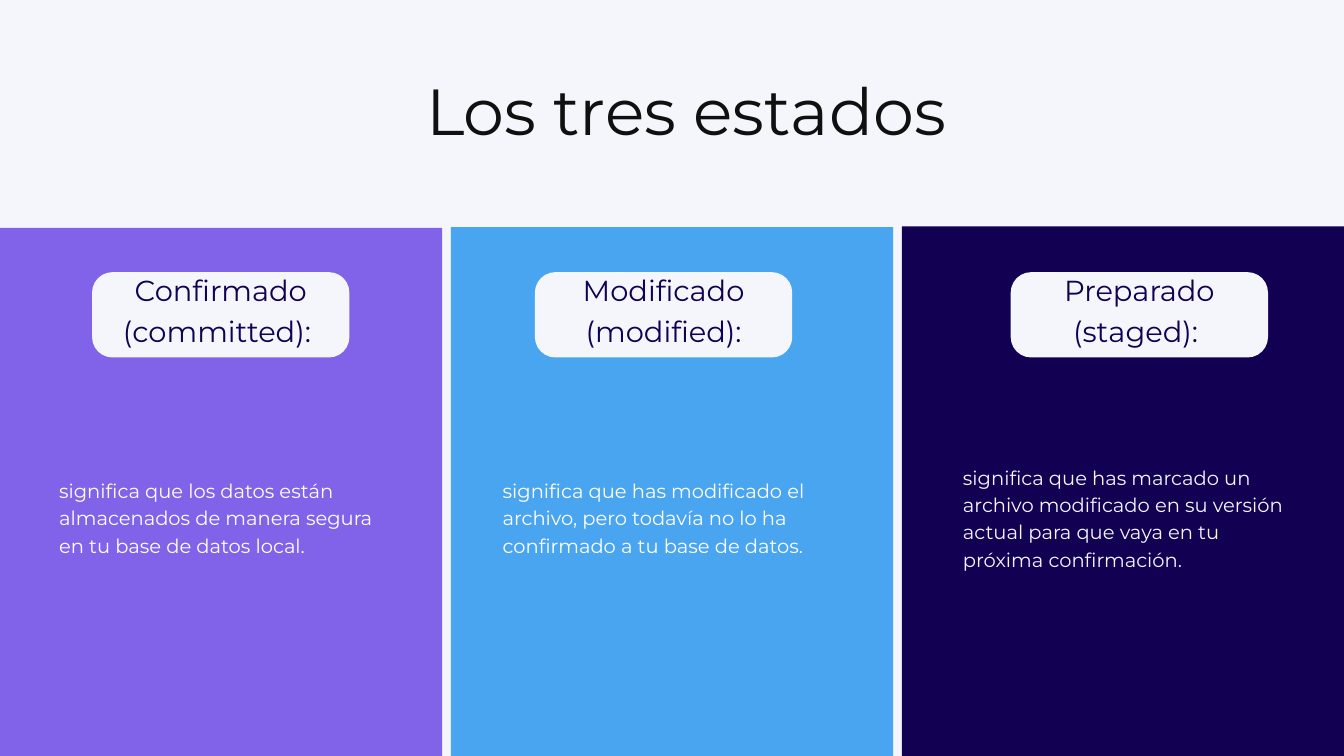
from dataclasses import dataclass
from pptx import Presentation
from pptx.dml.color import RGBColor
from pptx.enum.shapes import MSO_SHAPE
from pptx.enum.text import MSO_ANCHOR, PP_ALIGN
from pptx.util import Inches, Pt

RECT = MSO_SHAPE.RECTANGLE
ROUND = MSO_SHAPE.ROUNDED_RECTANGLE
TOP, MIDDLE = MSO_ANCHOR.TOP, MSO_ANCHOR.MIDDLE
LEFT, CENTER = PP_ALIGN.LEFT, PP_ALIGN.CENTER

WIDE, HIGH = 20, 11.25
GAP = 0.13
COL = (WIDE - 2 * GAP) / 3
FACE = "Montserrat"
COLORS = {
    "paper": "F4F6FC",
    "ink": "101010",
    "white": "FFFFFF",
    "violet": "8063E8",
    "blue": "49A5EF",
    "navy": "120052",
}


@dataclass
class Box:
    left: float
    top: float
    width: float
    height: float

    def place(self) -> list:
        return [Inches(v) for v in (self.left, self.top, self.width, self.height)]


@dataclass
class Style:
    size: float
    lead: float
    align: int
    anchor: int


@dataclass
class State:
    color: str
    top: float
    label: str
    inset: float
    note: str
    indent: float
    start: float
    height: float
    tint: str


TITLE = Style(69.7, 83.6, CENTER, TOP)
LABEL = Style(31, 43.4, CENTER, MIDDLE)
NOTE = Style(20.9, 29.3, LEFT, TOP)

STATES = [
    State("violet", 3.39, "Confirmado (committed): ", 1.37,
          "significa que los datos están almacenados de manera segura "
          "en tu base de datos local.", 0.88, 7.07, 1.2, "white"),
    State("blue", 3.38, "Modificado (modified):", 1.25,
          "significa que has modificado el archivo, pero todavía no lo ha "
          "confirmado a tu base de datos.", 0.77, 7.07, 1.2, "white"),
    State("navy", 3.37, "Preparado (staged): ", 1.62,
          "significa que has marcado un archivo modificado en su versión "
          "actual para que vaya en tu próxima confirmación.",
          0.91, 6.87, 1.61, "paper"),
]


def tone(name: str) -> RGBColor:
    return RGBColor.from_string(COLORS[name])


def draw_shape(slide, kind: int, box: Box, color: str):
    shape = slide.shapes.add_shape(kind, *box.place())
    shape.shadow.inherit = False
    shape.fill.solid()
    shape.fill.fore_color.rgb = tone(color)
    shape.line.fill.background()
    return shape


def draw_text(slide, box: Box, text: str, style: Style, color: str) -> None:
    frame = slide.shapes.add_textbox(*box.place()).text_frame
    edges = {f"margin_{side}": 0 for side in ("left", "top", "right", "bottom")}
    for name, value in {**edges, "word_wrap": True,
                        "vertical_anchor": style.anchor}.items():
        setattr(frame, name, value)
    para = frame.paragraphs[0]
    para.alignment = style.align
    para.line_spacing = Pt(style.lead)
    run = para.add_run()
    run.text = text
    for name, value in {"name": FACE, "size": Pt(style.size)}.items():
        setattr(run.font, name, value)
    run.font.color.rgb = tone(color)


def draw_state(slide, index: int, state: State) -> None:
    left = index * (COL + GAP)
    draw_shape(slide, RECT, Box(left, state.top, COL, HIGH - state.top), state.color)
    tag = Box(left + state.inset, 4.05, 3.83, 1.27)
    draw_shape(slide, ROUND, tag, "paper").adjustments[0] = 0.24
    draw_text(slide, Box(tag.left, 3.85, tag.width, 1.46), state.label, LABEL, "navy")
    draw_text(slide, Box(left + state.indent, state.start, 4.79, state.height),
              state.note, NOTE, state.tint)


def main() -> None:
    deck = Presentation()
    deck.slide_width, deck.slide_height = Inches(WIDE), Inches(HIGH)
    slide = deck.slides.add_slide(deck.slide_layouts[6])
    back = slide.background.fill
    back.solid()
    back.fore_color.rgb = tone("paper")
    draw_text(slide, Box(4.91, 1.05, 10.6, 2.31), "Los tres estados", TITLE, "ink")
    for index, state in enumerate(STATES):
        draw_state(slide, index, state)
    deck.save("out.pptx")


if __name__ == "__main__":
    main()
